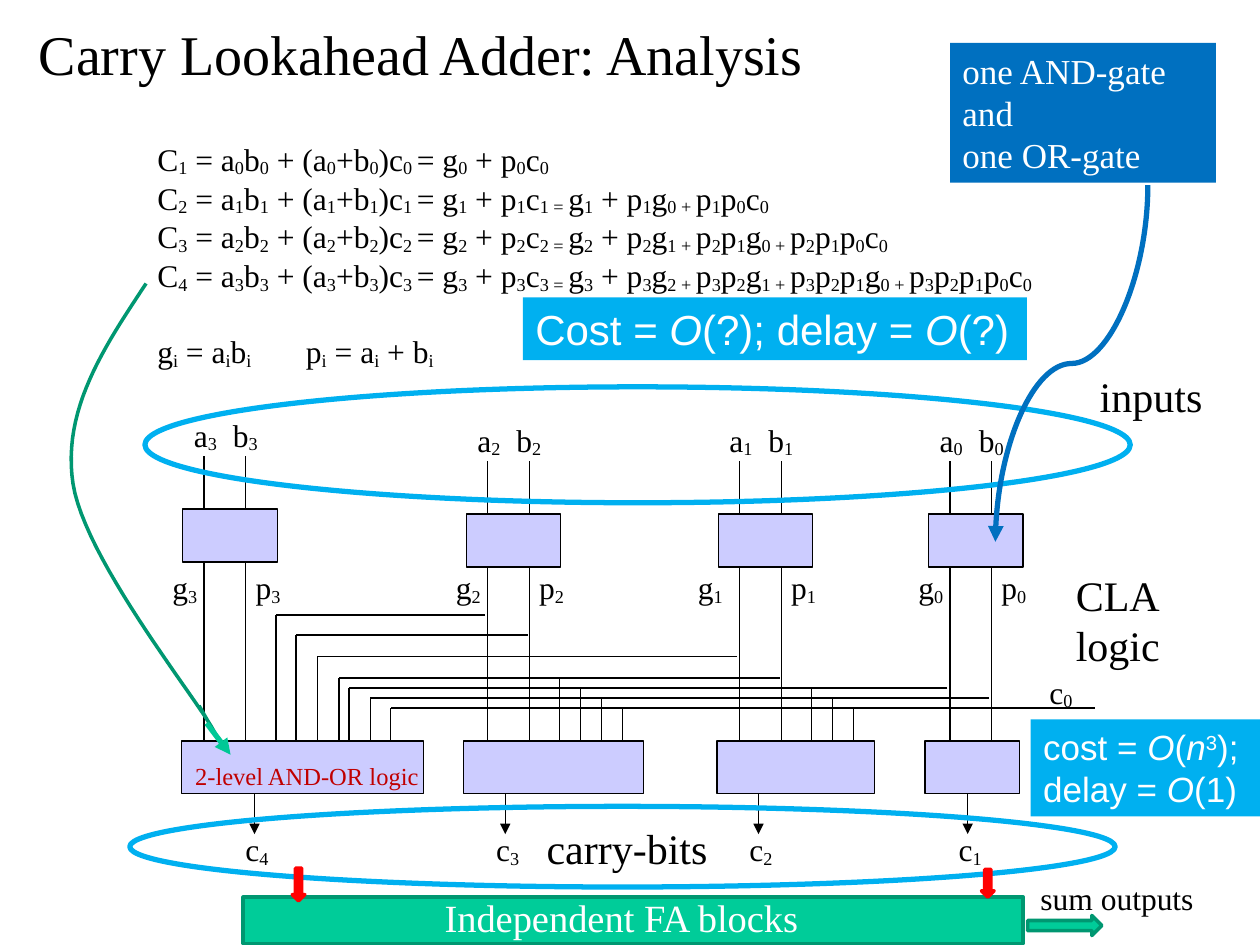
from itertools import groupby

from lxml.etree import SubElement
from pptx import Presentation
from pptx.dml.color import RGBColor
from pptx.enum.shapes import MSO_CONNECTOR as CONNECTOR, MSO_SHAPE as SHAPE
from pptx.enum.text import MSO_ANCHOR as ANCHOR, PP_ALIGN as ALIGN
from pptx.oxml.ns import qn
from pptx.util import Inches, Pt

COLORS = {
    "black": "000000", "white": "FFFFFF", "lavender": "CCCCFF",
    "sky": "00B0F0", "blue": "0070C0", "green": "00CC99",
    "dark_green": "009771", "arrow_green": "00C896",
    "red": "FF0000", "dark_red": "C00000",
}
SERIF, SANS = "Times New Roman", "Arial"

deck = Presentation()
deck.slide_width, deck.slide_height = Inches(10), Inches(7.5)
page = deck.slides.add_slide(deck.slide_layouts[6])


def rgb(name):
    return RGBColor.from_string(COLORS[name])


def block(text, left, top, width, height, *, shape=None, fill=None, line=None, weight=0.75,
          size=18, font=SERIF, color="black", anchor=ANCHOR.TOP, tab=None, last_gap=0):
    """Add a shape or text box; ~x~ is subscript, ^x^ superscript, *x* italic."""
    place = [Inches(value) for value in (left, top, width, height)]
    if shape is None:
        box = page.shapes.add_textbox(*place)
    else:
        box = page.shapes.add_shape(shape, *place)
        box.shadow.inherit = False
        if fill:
            box.fill.solid()
            box.fill.fore_color.rgb = rgb(fill)
        else:
            box.fill.background()
        if line:
            box.line.color.rgb = rgb(line)
            box.line.width = Pt(weight)
        else:
            box.line.fill.background()
    if not text:
        return box
    frame = box.text_frame
    frame.word_wrap = True
    frame.vertical_anchor = anchor
    lines = text.split("\n")
    active = set()
    for number, content in enumerate(lines):
        para = frame.add_paragraph() if number else frame.paragraphs[0]
        para.alignment = ALIGN.LEFT
        if last_gap and number == len(lines) - 1:
            para.space_before = Pt(last_gap)
        if tab and "\t" in content:
            stops = SubElement(para._p.get_or_add_pPr(), qn("a:tabLst"))
            SubElement(stops, qn("a:tab"), pos=str(Inches(tab)), algn="l")
        for is_mark, chars in groupby(content, key=lambda char: char in "~^*"):
            if is_mark:
                active ^= set(chars)
                continue
            span = para.add_run()
            span.text = "".join(chars)
            span.font.name, span.font.size = font, Pt(size)
            span.font.color.rgb = rgb(color)
            if "*" in active:
                span.font.italic = True
            if "~" in active or "^" in active:
                baseline = "-12000" if "~" in active else "30000"
                span._r.get_or_add_rPr().set("baseline", baseline)
    return box


def wire(x1, y1, x2, y2, *, color="black", weight=0.75, arrow=False, kind=CONNECTOR.STRAIGHT):
    link = page.shapes.add_connector(kind, Inches(x1), Inches(y1), Inches(x2), Inches(y2))
    link.line.color.rgb = rgb(color)
    link.line.width = Pt(weight)
    if arrow:
        SubElement(link.line._get_or_add_ln(), qn("a:tailEnd"), type="triangle")
    SubElement(link._element.spPr, qn("a:effectLst"))
    return link


block("Carry Lookahead Adder: Analysis", 0.21, 0.07, 6.73, 0.71, size=32, anchor=ANCHOR.MIDDLE)

# Carry equations, each expanded down to c0
equations = []
for k in range(4):
    factors = [f"p~{i}~" for i in range(k, -1, -1)]
    equation = f"C~{k + 1}~ = a~{k}~b~{k}~ + (a~{k}~+b~{k}~)c~{k} ~= g~{k}~ + "
    if k:
        equation += f"p~{k}~c~{k} = ~g~{k}~ + "
    for j in range(k - 1, -1, -1):
        equation += "".join(factors[:k - j]) + f"g~{j} + ~"
    equations.append(equation + "".join(factors) + "c~0~")
equations.append("g~i~ = a~i~b~i~\tp~i~ = a~i~ + b~i~")
block("\n".join(equations), 1.15, 1.06, 7.85, 1.9, tab=1.18, last_gap=21)

# Generate/propagate blocks: bit, left, top, left of the g label
CARRY_TOP, BOX_HEIGHT = 5.88, 0.42
for bit, left, top, g_left in [(3, 1.45, 4.04, 1.27), (2, 3.7, 4.08, 3.52),
                               (1, 5.7, 4.08, 5.44), (0, 7.37, 4.08, 7.19)]:
    block("", left, top, 0.75, BOX_HEIGHT, shape=SHAPE.RECTANGLE, fill="lavender", line="black")
    for x in (left + 0.17, left + 0.5):
        wire(x, top - 0.42, x, top)
        wire(x, top + BOX_HEIGHT, x, CARRY_TOP)
    block(f"a~{bit}~\tb~{bit}~", left - 0.01, top - 0.79, 0.95, 0.4, tab=0.31)
    block(f"g~{bit}~", g_left, 4.46, 0.6, 0.4)
    block(f"p~{bit}~", left + 0.48, 4.46, 0.6, 0.4)

# Carry logic: bit, left, width, x of the output arrow
for bit, left, width, x in [(1, 7.34, 0.75, 7.68), (2, 5.69, 1.25, 6.02),
                            (3, 3.68, 1.43, 4.01), (4, 1.44, 1.92, 2.02)]:
    block("", left, CARRY_TOP, width, BOX_HEIGHT, shape=SHAPE.RECTANGLE,
          fill="lavender", line="black")
    wire(x, CARRY_TOP + BOX_HEIGHT, x, 6.62, arrow=True)
    block(f"c~{bit}~", x - 0.17, 6.54, 0.6, 0.4)

# Signals into the c4 logic: source x, level, drop x
for source, level, drop in [(3.85, 4.88, 2.19), (4.19, 5.04, 2.35), (5.85, 5.21, 2.52),
                            (6.19, 5.38, 2.69), (7.52, 5.46, 2.77), (7.85, 5.54, 2.94),
                            (8.69, 5.62, 3.1)]:
    wire(source, level, drop, level)
    wire(drop, level, drop, CARRY_TOP)
# Taps into the c3 and c2 logic
for first_x, levels in [(4.44, (5.38, 5.46, 5.54, 5.62)), (6.44, (5.46, 5.54, 5.62))]:
    for step, level in enumerate(levels):
        x = first_x + step / 6
        wire(x, level, x, CARRY_TOP)
block("c~0~", 8.23, 5.29, 0.6, 0.4)

# Rings and captions
block("", 1.15, 3.07, 7.82, 0.92, shape=SHAPE.OVAL, line="sky", weight=3)
block("carry-bits", 4.24, 6.48, 2.36, 0.5, size=24)
block("CLA logic", 8.44, 4.47, 1.37, 0.91, size=24)
block("inputs", 8.63, 2.89, 1.26, 0.5, size=24)
block("", 1.03, 6.4, 7.82, 0.64, shape=SHAPE.OVAL, line="sky", weight=3)

# Callouts
block("one AND-gate and\none OR-gate", 7.54, 0.34, 2.11, 1.11, shape=SHAPE.RECTANGLE,
      fill="blue", size=20, color="white")
gate_arrow = wire(7.09, 2.28, 9.92, 3.49, color="blue", weight=3, arrow=True,
                  kind=CONNECTOR.CURVE)
gate_arrow._element.spPr.find(qn("a:xfrm")).set("rot", str(90 * 60000))
block("Cost = *O*(?); delay = *O*(?)", 4.15, 2.36, 4, 0.5, shape=SHAPE.RECTANGLE,
      fill="sky", size=24, font=SANS, color="white")
block("cost = *O*(*n*^3^);\ndelay = *O*(1)", 8.18, 5.71, 1.82, 0.77, shape=SHAPE.RECTANGLE,
      fill="sky", size=20, font=SANS, color="white")

# Full adders
block("", 1.93, 7.12, 6.19, 0.37, shape=SHAPE.RECTANGLE, fill="green", line="dark_green", weight=2)
block("Independent FA blocks", 3.43, 7.05, 3.9, 0.47, size=22, color="white")
for left, top, height in [(2.32, 6.89, 0.26), (7.79, 6.9, 0.22)]:
    block("", left, top, 0.1, height, shape=SHAPE.DOWN_ARROW, fill="red", line="red", weight=2)
sum_arrow = block("", 8.37, 7.05, 0.16, 0.59, shape=SHAPE.DOWN_ARROW,
                  fill="green", line="dark_green", weight=2)
sum_arrow.rotation = 270
block("sum outputs", 8.16, 6.93, 1.5, 0.4)

# Curved pointer from the C4 equation to its logic, as sampled Bezier segments
start = (1.16, 2.25)
segments = [
    [(0.83, 2.75), (0.49, 3.25), (0.58, 3.84)],
    [(0.67, 4.42), (1.51, 5.48), (1.68, 5.77)],
    [(1.85, 6.07), (1.58, 5.6), (1.58, 5.6)],
]
STEPS = 24
outline = page.shapes.build_freeform(Inches(start[0]), Inches(start[1]))
points = []
for segment in segments:
    controls = [start, *segment]
    for step in range(1, STEPS + 1):
        t = step / STEPS
        weights = [(1 - t) ** 3, 3 * t * (1 - t) ** 2, 3 * t ** 2 * (1 - t), t ** 3]
        points.append([Inches(sum(w * spot[axis] for w, spot in zip(weights, controls)))
                       for axis in (0, 1)])
    start = segment[-1]
outline.add_line_segments(points, close=False)
pointer = outline.convert_to_shape()
pointer.shadow.inherit = False
pointer.fill.background()
pointer.line.color.rgb = rgb("dark_green")
pointer.line.width = Pt(2)
wire(1.64, 5.74, 1.83, 5.99, color="arrow_green", weight=3, arrow=True)
block("2-level AND-OR logic", 1.45, 5.99, 1.98, 0.34, size=14, color="dark_red")

deck.save("out.pptx")
